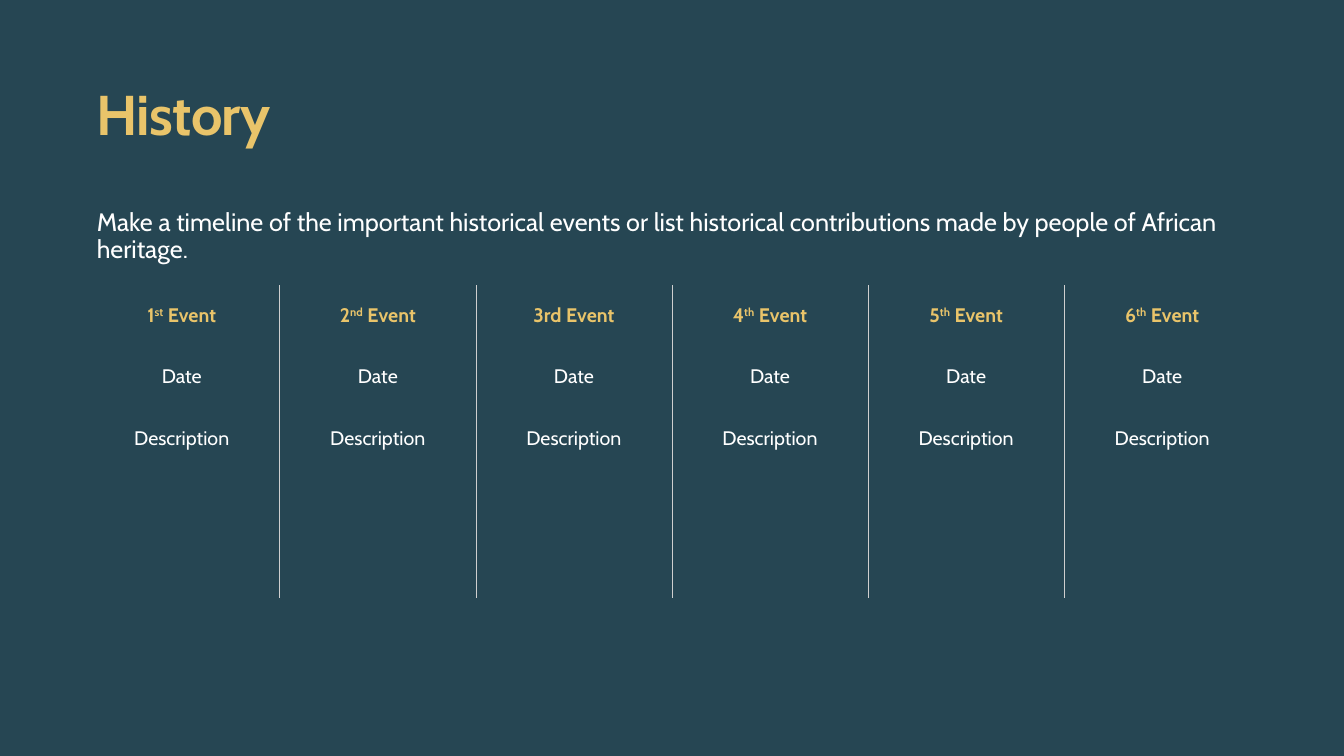
"""Build the History timeline slide."""
from lxml.etree import SubElement
from pptx import Presentation
from pptx.dml.color import RGBColor
from pptx.enum.text import MSO_ANCHOR as Anchor, PP_ALIGN as Align
from pptx.oxml.ns import qn
from pptx.util import Inches, Pt

GOLD, WHITE, RULE, TEAL = "E9C46A", "FFFFFF", "CFCFCF", "264653"


def color(code):
    return RGBColor.from_string(code)


class SlideBuilder:
    def __init__(self, page, font):
        self.page = page
        self.font = font

    def background(self, code):
        fill = self.page.background.fill
        fill.solid()
        fill.fore_color.rgb = color(code)

    def span(self, para, text, size, code, bold=False, **attributes):
        span = para.add_run()
        span.text = text
        font = span.font
        font.name, font.size, font.bold = self.font, Pt(size), bold
        font.color.rgb = color(code)
        properties = span._r.get_or_add_rPr()
        for name, value in attributes.items():
            properties.set(name, str(value))

    def text_box(self, left, top, width, height, anchor):
        box = self.page.shapes.add_textbox(
            Inches(left), Inches(top), Inches(width), Inches(height))
        frame = box.text_frame
        frame.word_wrap = True
        frame.vertical_anchor = anchor
        frame.margin_left = frame.margin_right = 0
        frame.margin_top = frame.margin_bottom = 0
        return frame.paragraphs[0]

    def table(self, left, top, width, row_heights, columns):
        table = self.page.shapes.add_table(
            len(row_heights), columns, Inches(left), Inches(top),
            Inches(width), Inches(sum(row_heights))).table
        table.horz_banding = table.first_row = False
        for row, height in zip(table.rows, row_heights):
            row.height = Inches(height)
            for column, cell in enumerate(row.cells):
                self.borders(cell, column > 0, column < columns - 1)
                cell.fill.background()
        return table

    def borders(self, cell, left, right):
        properties = cell._tc.get_or_add_tcPr()
        sides = {"a:lnL": left, "a:lnR": right, "a:lnT": False, "a:lnB": False}
        for tag, visible in sides.items():
            line = SubElement(properties, qn(tag), w=str(Pt(0.5)))
            if visible:
                fill = SubElement(line, qn("a:solidFill"))
                SubElement(fill, qn("a:srgbClr"), val=RULE)
            else:
                SubElement(line, qn("a:noFill"))

    def cell_text(self, cell, parts, code, bold=False):
        cell.vertical_anchor = Anchor.MIDDLE
        para = cell.text_frame.paragraphs[0]
        para.alignment = Align.CENTER
        para.space_before = Pt(2.8)
        for text, baseline in parts:
            self.span(para, text, 14, code, bold, baseline=baseline)


def main():
    deck = Presentation()
    deck.slide_width, deck.slide_height = Inches(13.33), Inches(7.5)
    page = deck.slides.add_slide(deck.slide_layouts[6])
    builder = SlideBuilder(page, "Cabin")
    builder.background(TEAL)

    title = builder.text_box(0.96, 0.76, 11.39, 0.7, Anchor.BOTTOM)
    builder.span(title, "History", 40, GOLD, True, spc=-50)
    intro = builder.text_box(0.96, 2.08, 11.39, 0.78, Anchor.TOP)
    intro.line_spacing = 0.9
    builder.span(intro, "Make a timeline of the important historical events or list "
                 "historical contributions made by people of African heritage.", 18, WHITE)

    events = [
        [("1", 0), ("st", 30000), (" Event", 0)],
        [("2", 0), ("nd", 30000), (" Event", 0)],
        [("3rd Event", 0)],
    ] + [[(number, 0), ("th", 30000), (" Event", 0)] for number in "456"]
    timeline = builder.table(0.83, 2.83, 11.67, [0.6, 0.6, 1.9], len(events))
    for column, event in enumerate(events):
        builder.cell_text(timeline.cell(0, column), event, GOLD, True)
        builder.cell_text(timeline.cell(1, column), [("Date", 0)], WHITE)
        description = timeline.cell(2, column)
        builder.cell_text(description, [("Description", 0)], WHITE)
        description.vertical_anchor = Anchor.TOP
        description.margin_top = Inches(0.2)

    deck.save("out.pptx")


if __name__ == "__main__":
    main()
